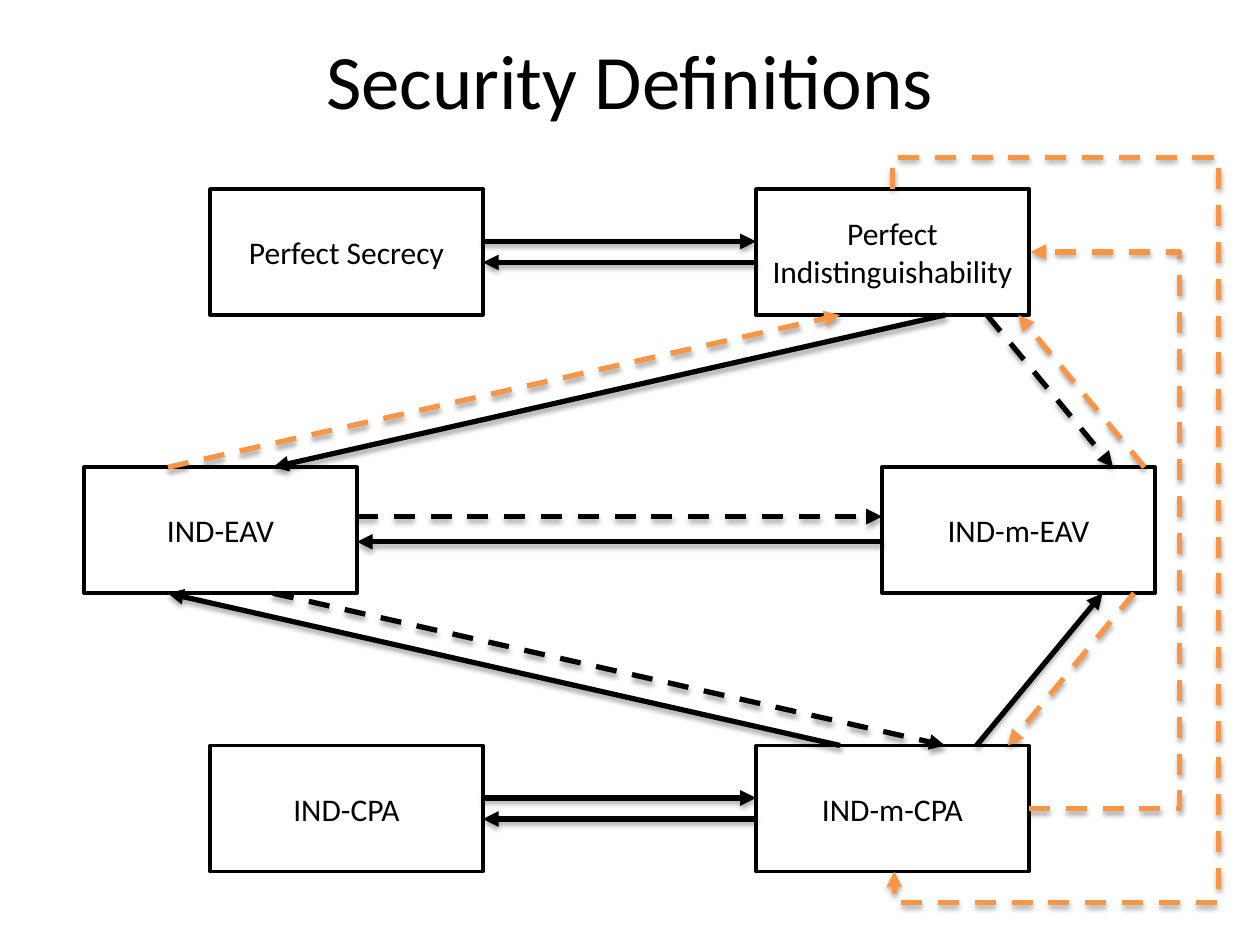
from lxml import etree
from pptx import Presentation
from pptx.dml.color import RGBColor
from pptx.enum.dml import MSO_LINE
from pptx.enum.shapes import MSO_CONNECTOR, MSO_SHAPE
from pptx.enum.text import MSO_ANCHOR, PP_ALIGN
from pptx.oxml import parse_xml
from pptx.oxml.ns import qn
from pptx.util import Pt

RECTANGLE = MSO_SHAPE.RECTANGLE
STRAIGHT, ELBOW = MSO_CONNECTOR.STRAIGHT, MSO_CONNECTOR.ELBOW
DASH = MSO_LINE.DASH
MIDDLE, CENTER = MSO_ANCHOR.MIDDLE, PP_ALIGN.CENTER
BLACK, WHITE, ORANGE = "000000", "FFFFFF", "F79646"
SHADOW = (
    '<a:effectLst xmlns:a="http://schemas.openxmlformats.org/drawingml/2006/main">'
    '<a:outerShdw blurRad="39370" dist="22860" dir="5400000" rotWithShape="0">'
    '<a:srgbClr val="000000"><a:alpha val="35000"/></a:srgbClr>'
    "</a:outerShdw></a:effectLst>"
)


def color(value):
    return RGBColor.from_string(value)


def write_text(shape, text, size=18, font="Calibri", fill=BLACK):
    frame = shape.text_frame
    frame.word_wrap = True
    frame.vertical_anchor = MIDDLE
    paragraph = frame.paragraphs[0]
    paragraph.text = text
    paragraph.alignment = CENTER
    paragraph.font.size = Pt(size)
    paragraph.font.name = font
    paragraph.font.color.rgb = color(fill)


presentation = Presentation()
presentation.slide_width, presentation.slide_height = Pt(720), Pt(540)
slide = presentation.slides.add_slide(presentation.slide_layouts[6])
shapes = slide.shapes

# Title
title = shapes.add_textbox(Pt(0), Pt(0), Pt(720), Pt(90))
write_text(title, "Security Definitions", size=44)

# Definition boxes, three rows of two
BOX_WIDTH, BOX_HEIGHT = 156, 72
ROW_TOPS = [108, 267, 426]
ROWS = [
    [(120, "Perfect Secrecy"), (432, "Perfect Indistinguishability")],
    [(48, "IND-EAV"), (504, "IND-m-EAV")],
    [(120, "IND-CPA"), (432, "IND-m-CPA")],
]
for top, row in zip(ROW_TOPS, ROWS):
    for left, name in row:
        box = shapes.add_shape(RECTANGLE, Pt(left), Pt(top), Pt(BOX_WIDTH), Pt(BOX_HEIGHT))
        box.shadow.inherit = False
        box.fill.solid()
        box.fill.fore_color.rgb = color(WHITE)
        box.line.color.rgb = color(BLACK)
        box.line.width = Pt(2)
        write_text(box, name)

# Straight implications: start, end, colour, dashed
top_1, top_2, top_3 = ROW_TOPS
bottom_1, bottom_2, bottom_3 = [top + BOX_HEIGHT for top in ROW_TOPS]
implications = [
    ((276, 138), (432, 138), BLACK, False),
    ((432, 150), (276, 150), BLACK, False),
    ((540, bottom_1), (156, top_2), BLACK, False),
    ((504, 309.6), (204, 309.6), BLACK, False),
    ((558, top_3), (630, bottom_2), BLACK, False),
    ((96, top_2), (480, bottom_1), ORANGE, True),
    ((204, 295.2), (504, 295.2), BLACK, True),
    ((564, bottom_1), (636, top_2), BLACK, True),
    ((654, top_2), (582, bottom_1), ORANGE, True),
    ((648, bottom_2), (576, top_3), ORANGE, True),
    ((480, top_3), (96, bottom_2), BLACK, False),
    ((156, bottom_2), (540, top_3), BLACK, True),
    ((276, 456), (432, 456), BLACK, False),
    ((432, 468), (276, 468), BLACK, False),
]
arrows = []
for start, end, line_color, dashed in implications:
    connector = shapes.add_connector(STRAIGHT, *map(Pt, start + end))
    arrows.append((connector, line_color, dashed))

# Elbow from the right side of IND-m-CPA to Perfect Indistinguishability
inner_elbow = shapes.add_connector(ELBOW, Pt(588), Pt(462), Pt(589), Pt(144))

# Five-part elbow from the top of the upper box to the bottom of the lower one,
# laid out horizontally around its centre and turned by 270 degrees
span, clearance = bottom_3 - top_1, 18
middle_x, middle_y = 510.5, (top_1 + bottom_3) / 2
outer_elbow = shapes.add_connector(
    ELBOW,
    Pt(middle_x + span / 2), Pt(middle_y - 0.5),
    Pt(middle_x - span / 2), Pt(middle_y + 0.5),
)
outer_elbow._element.spPr.find(qn("a:xfrm")).set("rot", str(270 * 60000))
outer_elbow._element.spPr.find(qn("a:prstGeom")).set("prst", "bentConnector5")

# Bend positions, as shares of each elbow's extent
bends = [
    (inner_elbow, [86.6]),
    (outer_elbow, [-clearance / span, 187.7, 1 + clearance / span]),
]
for elbow, shares in bends:
    geometry = elbow._element.spPr.find(qn("a:prstGeom"))
    guides = geometry.find(qn("a:avLst"))
    if guides is None:
        guides = etree.SubElement(geometry, qn("a:avLst"))
    for number, share in enumerate(shares, 1):
        etree.SubElement(guides, qn("a:gd"), name=f"adj{number}",
                         fmla=f"val {round(share * 100000)}")
    arrows.append((elbow, ORANGE, True))

# Line style, arrowhead and shadow of every arrow
for connector, line_color, dashed in arrows:
    connector.line.color.rgb = color(line_color)
    connector.line.width = Pt(3)
    if dashed:
        connector.line.dash_style = DASH
    properties = connector._element.spPr
    etree.SubElement(properties.find(qn("a:ln")), qn("a:tailEnd"), type="triangle")
    properties.append(parse_xml(SHADOW))

presentation.save("out.pptx")
